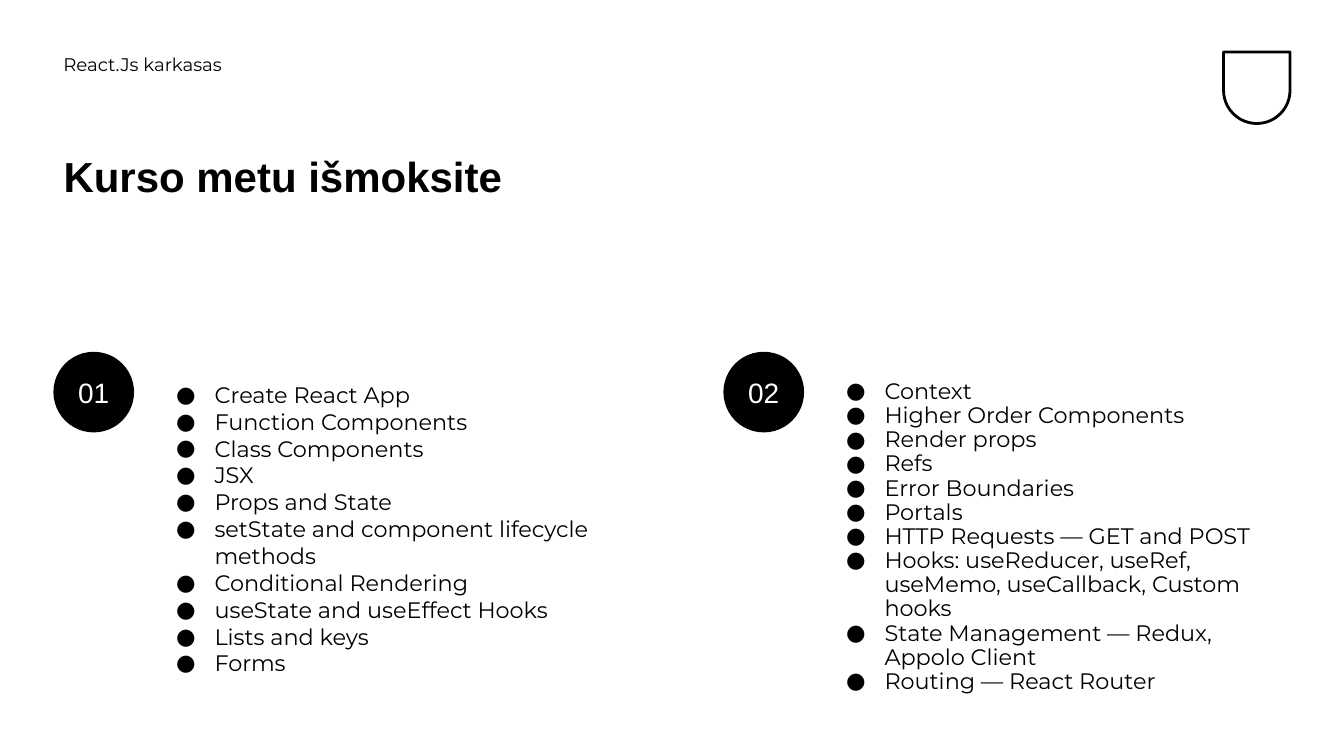
from lxml.etree import SubElement
from pptx import Presentation
from pptx.dml.color import RGBColor
from pptx.enum.shapes import MSO_SHAPE as Shape
from pptx.enum.text import MSO_ANCHOR as Anchor, MSO_AUTO_SIZE as AutoSize, PP_ALIGN as Align
from pptx.oxml.ns import qn
from pptx.util import Inches, Pt

COLORS = {"ink": "000000", "paper": "FEFFFF"}
FONTS = {"head": "Arial", "body": "Montserrat"}
TOPICS = [
    ("01", 7.56, 1.0, 0.32, [
        "Create React App", "Function Components", "Class Components", "JSX",
        "Props and State", "setState and component lifecycle methods",
        "Conditional Rendering", "useState and useEffect Hooks",
        "Lists and keys", "Forms"]),
    ("02", 7.84, 0.9, 0.29, [
        "Context", "Higher Order Components", "Render props", "Refs",
        "Error Boundaries", "Portals", "HTTP Requests — GET and POST",
        "Hooks: useReducer, useRef, useMemo, useCallback, Custom hooks",
        "State Management — Redux, Appolo Client", "Routing — React Router"]),
]


def color(name):
    return RGBColor.from_string(COLORS[name])


def write(frame, lines, size=16, font="body", ink="ink", bold=False, spacing=1.0,
          align=Align.LEFT, anchor=Anchor.TOP, bottom=0.05, bullet=None):
    frame.word_wrap = True
    frame.auto_size = AutoSize.NONE
    frame.vertical_anchor = anchor
    frame.margin_bottom = Inches(bottom)
    for index, line in enumerate(lines):
        paragraph = frame.add_paragraph() if index else frame.paragraphs[0]
        paragraph.alignment = align
        paragraph.line_spacing = spacing
        if bullet:
            props = paragraph._p.get_or_add_pPr()
            props.set("marL", str(Inches(0.5)))
            props.set("indent", str(Inches(-0.38)))
            SubElement(props, qn("a:buFont")).set("typeface", FONTS[font])
            SubElement(props, qn("a:buChar")).set("char", bullet)
        run = paragraph.add_run()
        run.text = line
        run.font.size = Pt(size)
        run.font.name = FONTS[font]
        run.font.bold = bold
        run.font.color.rgb = color(ink)


class Deck:
    """Holds the slide, its half-inch grid and its style."""

    def __init__(self):
        self.deck = Presentation()
        self.deck.slide_width, self.deck.slide_height = Inches(13.33), Inches(7.5)
        self.slide = self.deck.slides.add_slide(self.deck.slide_layouts[5])
        self.slide.background.fill.solid()
        self.slide.background.fill.fore_color.rgb = color("paper")

    def area(self, col, row, cols, rows):
        return (Inches(0.53 + col / 2), Inches(row / 2),
                Inches(cols / 2), Inches(rows / 2))

    def title(self, text, *cells, **style):
        heading = self.slide.shapes.title
        heading.left, heading.top, heading.width, heading.height = self.area(*cells)
        write(heading.text_frame, [text], **style)

    def text(self, lines, *cells, **style):
        box = self.slide.shapes.add_textbox(*self.area(*cells))
        write(box.text_frame, lines, **style)

    def badge(self, number, *cells):
        circle = self.slide.shapes.add_shape(Shape.OVAL, *self.area(*cells))
        circle.shadow.inherit = False
        circle.fill.solid()
        circle.fill.fore_color.rgb = color("ink")
        circle.line.fill.background()
        write(circle.text_frame, [number], size=20, font="head", ink="paper",
              align=Align.CENTER, anchor=Anchor.MIDDLE)

    def shield(self, *cells):
        emblem = self.slide.shapes.add_shape(Shape.ROUND_2_SAME_RECTANGLE, *self.area(*cells))
        emblem.adjustments[0] = 0.5
        emblem.rotation = 180
        emblem.shadow.inherit = False
        emblem.fill.background()
        emblem.line.color.rgb = color("ink")
        emblem.line.width = Pt(2)


def main():
    course = Deck()
    course.shield(23.21, 1.03, 1.32, 1.42)
    course.text(["React.Js karkasas"], 0, 1, 12.28, 1, size=13, spacing=0.9)
    course.title("Kurso metu išmoksite", 0, 3, 11.28, 2.98,
                 size=30, font="head", bold=True, spacing=0.9)
    for half, (number, rows, spacing, bottom, topics) in enumerate(TOPICS):
        col = half * 13.29
        course.badge(number, col, 6.98, 1.6, 1.6)
        course.text(topics, col + 2, 6.98, 9.26, rows, spacing=spacing,
                    anchor=Anchor.MIDDLE, bottom=bottom, bullet="●")
    course.deck.save("out.pptx")


if __name__ == "__main__":
    main()
